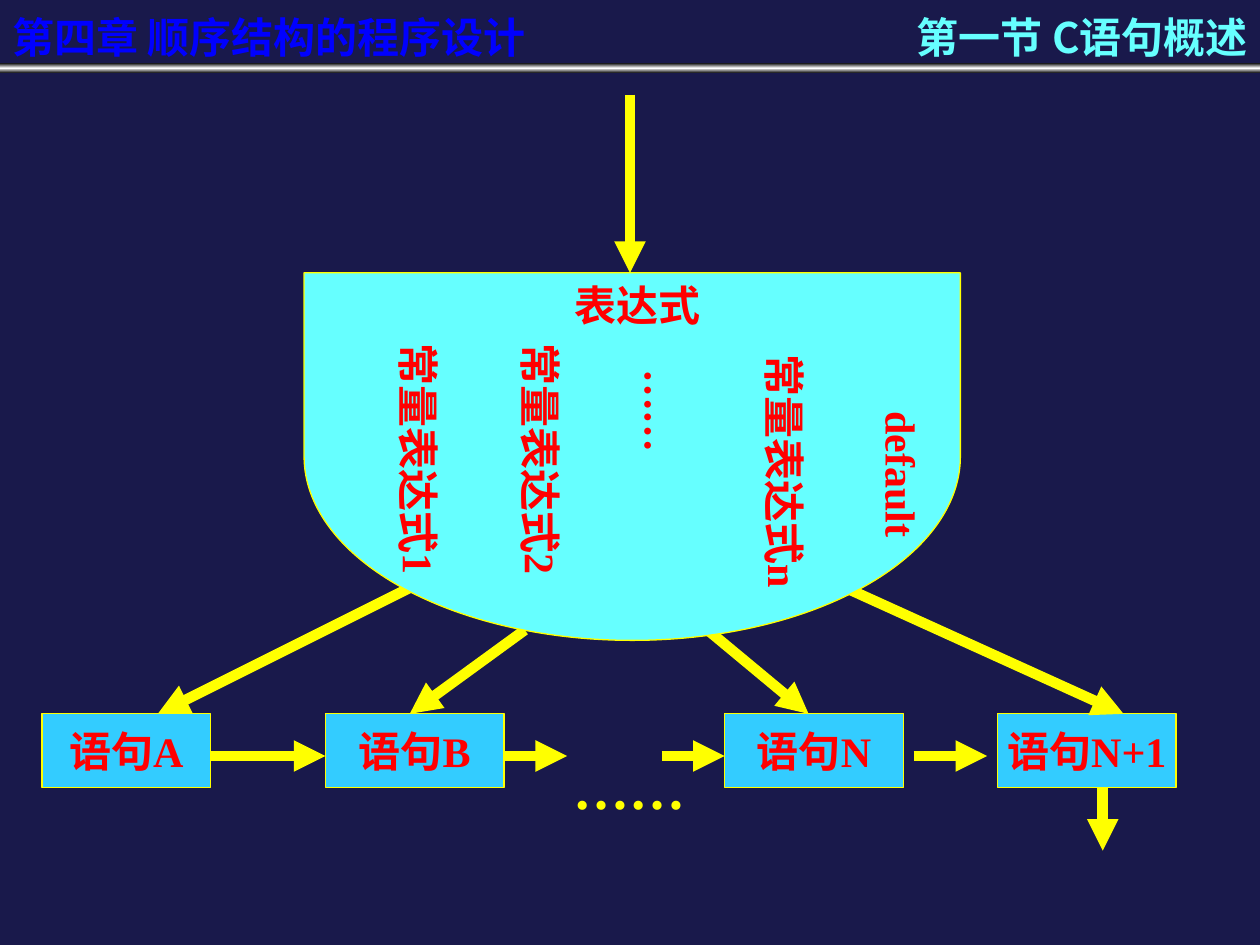
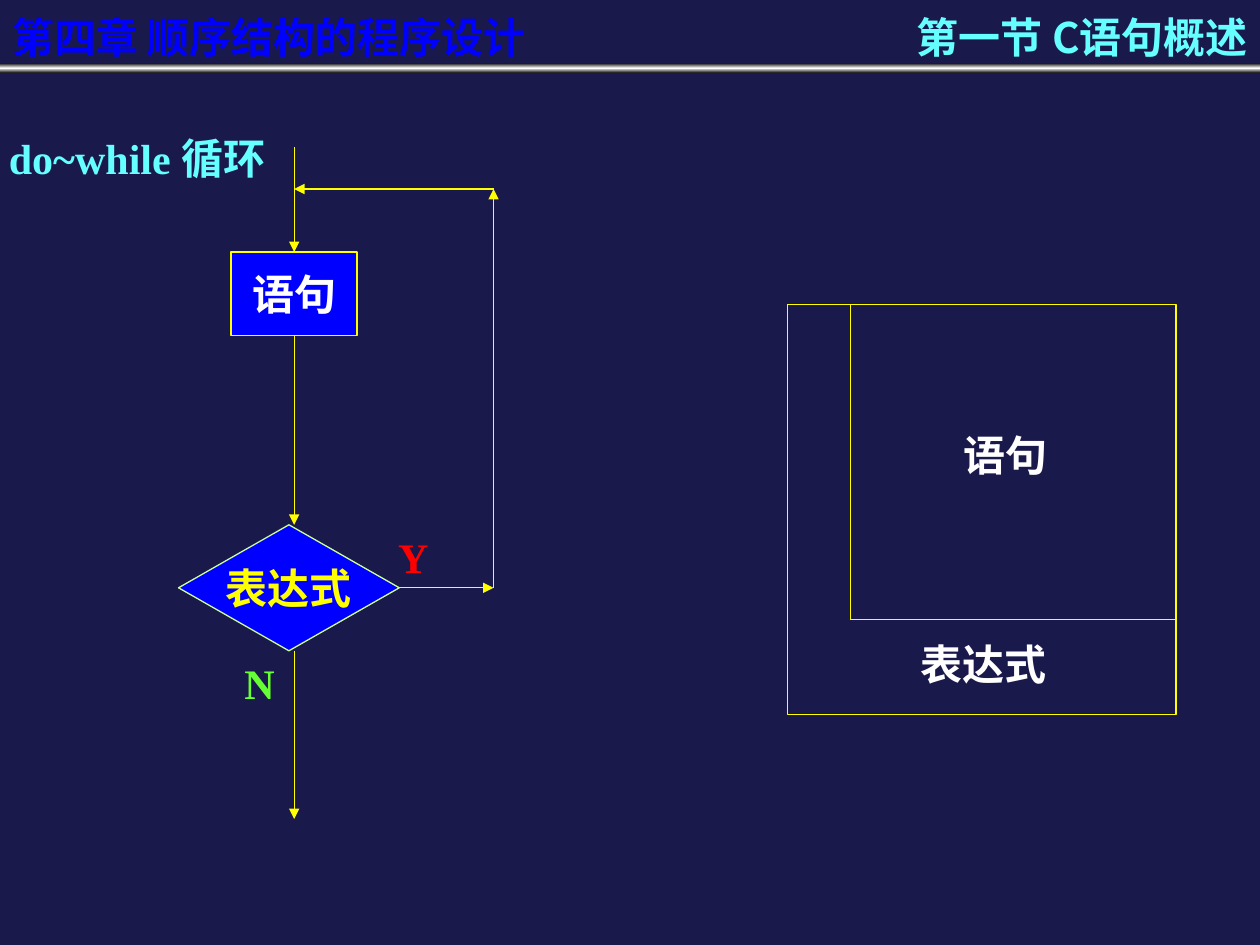
from lxml.etree import SubElement
from pptx import Presentation
from pptx.dml.color import RGBColor
from pptx.enum.shapes import MSO_CONNECTOR, MSO_SHAPE
from pptx.enum.text import MSO_ANCHOR, MSO_AUTO_SIZE, PP_ALIGN
from pptx.oxml import parse_xml
from pptx.oxml.ns import nsdecls, qn
from pptx.util import Cm, Pt

NAVY = RGBColor(0x19, 0x19, 0x4B)
BLUE = RGBColor(0x00, 0x00, 0xFF)
SKY = RGBColor(0x33, 0xCC, 0xFF)
CYAN = RGBColor(0x66, 0xFF, 0xFF)
YELLOW = RGBColor(0xFF, 0xFF, 0x00)
LIME = RGBColor(0xCC, 0xFF, 0x99)
GREEN = RGBColor(0x66, 0xFF, 0x33)
RED = RGBColor(0xFF, 0x00, 0x00)
WHITE = RGBColor(0xFF, 0xFF, 0xFF)

CJK_FONT = "Noto Sans CJK SC"
LATIN_FONT = "Times New Roman"
THICK, THIN = 6, 0.75


def write_text(sp, text, color, align=PP_ALIGN.CENTER, font=LATIN_FONT,
               size=24, wrap=True, shadow=False):
    tf = sp.text_frame
    tf.auto_size = MSO_AUTO_SIZE.NONE
    tf.word_wrap = wrap
    tf.vertical_anchor = MSO_ANCHOR.MIDDLE
    tf.margin_left = tf.margin_right = tf.margin_top = tf.margin_bottom = 0
    p = tf.paragraphs[0]
    p.alignment = align
    r = p.add_run()
    r.text = text
    r.font.size = Pt(size)
    r.font.bold = True
    r.font.color.rgb = color
    r.font.name = font
    rPr = r.font._element
    if shadow:
        rPr.find(qn("a:solidFill")).addnext(parse_xml(
            f'<a:effectLst {nsdecls("a")}><a:outerShdw dist="35921" dir="2700000">'
            '<a:srgbClr val="000000"/></a:outerShdw></a:effectLst>'))
    ea = SubElement(rPr, qn("a:ea"))
    ea.set("typeface", CJK_FONT)


def add_label(s, text, x, y, w, h, color, rotation=0, **style):
    sp = s.shapes.add_textbox(Cm(x), Cm(y), Cm(w), Cm(h))
    sp.rotation = rotation
    write_text(sp, text, color, **style)


def add_box(s, kind, x, y, w, h, fill=None, line=YELLOW):
    sp = s.shapes.add_shape(kind, Cm(x), Cm(y), Cm(w), Cm(h))
    sp.shadow.inherit = False
    if fill is None:
        sp.fill.background()
    else:
        sp.fill.solid()
        sp.fill.fore_color.rgb = fill
    if line is None:
        sp.line.fill.background()
    else:
        sp.line.color.rgb = line
        sp.line.width = Pt(THIN)
    return sp


def add_line(s, x1, y1, x2, y2, width=THIN, arrow=True):
    c = s.shapes.add_connector(MSO_CONNECTOR.STRAIGHT, Cm(x1), Cm(y1), Cm(x2), Cm(y2))
    c.line.color.rgb = YELLOW
    c.line.width = Pt(width)
    if arrow:
        SubElement(c.line._get_or_add_ln(), qn("a:tailEnd")).set("type", "triangle")
    SubElement(c._element.spPr, qn("a:effectLst"))


def add_header_band(s):
    sp = add_box(s, MSO_SHAPE.RECTANGLE, 0, 1.27, 25.4, 0.21, line=None)
    sp.fill.gradient()
    sp.fill.gradient_angle = 90
    stops = sp._element.spPr.find(qn("a:gradFill")).find(qn("a:gsLst"))
    for stop in list(stops):
        stops.remove(stop)
    for pos, color in ((0, "000000"), (50000, "FFFFFF"), (100000, "000000")):
        stop = SubElement(stops, qn("a:gs"), pos=str(pos))
        SubElement(stop, qn("a:srgbClr"), val=color)


def add_slide(prs):
    s = prs.slides.add_slide(prs.slide_layouts[5])
    add_header_band(s)
    add_label(s, "第四章 顺序结构的程序设计", 0.25, 0, 12.25, 1.48, BLUE,
              align=PP_ALIGN.LEFT, font=CJK_FONT, shadow=True)
    title = s.shapes.title
    title.left, title.top, title.width, title.height = Cm(15.44), Cm(0), Cm(9.71), Cm(1.48)
    write_text(title, "第一节 C语句概述", CYAN, align=PP_ALIGN.RIGHT, font=CJK_FONT)
    return s


def build_switch_slide(prs):
    s = add_slide(prs)
    row_top, row_mid, row_bottom = 14.39, 15.24, 15.88
    for text, x, w in (("语句A", 0.85, 3.39), ("语句B", 6.56, 3.6),
                       ("语句N", 14.61, 3.6), ("语句N+1", 20.11, 3.6)):
        sp = add_box(s, MSO_SHAPE.RECTANGLE, x, row_top, w, 1.48, SKY)
        write_text(sp, text, RED, wrap=False)

    for x1, y1, x2 in ((15.66, 11.22, 22.65), (13.76, 12.28, 16.3),
                       (10.58, 12.7, 8.26), (8.26, 11.85, 3.18)):
        add_line(s, x1, y1, x2, row_top, THICK)
    for x1, x2 in ((4.23, 6.56), (10.16, 11.43), (13.34, 14.61), (18.42, 19.9)):
        add_line(s, x1, row_mid, x2, row_mid, THICK)
    add_line(s, 12.7, 1.91, 12.7, 5.5, THICK)
    add_line(s, 22.23, row_bottom, 22.23, 17.15, THICK)
    add_label(s, "……", 11.3, 15.24, 2.77, 1.27, YELLOW, size=32)

    selector = add_box(s, MSO_SHAPE.FLOWCHART_DELAY, 9.04, 2.59, 7.41, 13.23, CYAN)
    selector.rotation = 90
    add_label(s, "表达式", 11.33, 5.5, 3.05, 1.27, RED, shadow=True)
    length, depth = 5.6, 1.3
    for text, center, top in (("常量表达式1", 8.46, 6.93), ("常量表达式2", 10.92, 6.93),
                              ("……", 13.34, 7.44), ("常量表达式n", 15.82, 7.14),
                              ("default", 18.19, 8.29)):
        add_label(s, text, center - length / 2, top + (length - depth) / 2,
                  length, depth, RED, rotation=90, align=PP_ALIGN.LEFT)


def build_do_while_slide(prs):
    s = add_slide(prs)
    add_label(s, "do~while 循环", 0.18, 2.54, 5.6, 1.27, CYAN, align=PP_ALIGN.LEFT)

    condition = add_box(s, MSO_SHAPE.FLOWCHART_DECISION, 3.6, 10.58, 4.45, 2.54, BLUE, LIME)
    write_text(condition, "表达式", YELLOW, wrap=False)
    body = add_box(s, MSO_SHAPE.FLOWCHART_PROCESS, 4.66, 5.08, 2.54, 1.69, BLUE)
    write_text(body, "语句", WHITE, wrap=False)

    flow_x, loop_x, loop_top, loop_bottom = 5.93, 9.95, 3.81, 11.85
    for y1, y2 in ((2.97, 5.08), (6.77, 10.58), (13.12, 16.51)):
        add_line(s, flow_x, y1, flow_x, y2)
    add_line(s, 8.05, loop_bottom, loop_x, loop_bottom)
    add_line(s, loop_x, loop_bottom, loop_x, loop_top)
    add_line(s, loop_x, loop_top, flow_x, loop_top)
    add_label(s, "N", 4.67, 13.12, 1.12, 1.27, GREEN)
    add_label(s, "Y", 7.77, 10.58, 1.12, 1.27, RED)

    left, top, width, height = 15.88, 6.14, 7.83, 8.26
    inner_left, inner_bottom = 17.15, 12.49
    add_box(s, MSO_SHAPE.RECTANGLE, left, top, width, height)
    add_line(s, inner_left, top, inner_left, inner_bottom, arrow=False)
    add_line(s, inner_left, inner_bottom, left + width, inner_bottom, arrow=False)
    add_label(s, "语句", 19.18, 8.53, 2.18, 1.27, WHITE)
    add_label(s, "表达式", 18.2, 12.75, 3.27, 1.27, WHITE)


def main():
    prs = Presentation()
    prs.slide_width, prs.slide_height = Cm(25.4), Cm(19.05)
    background = prs.slide_master.background.fill
    background.solid()
    background.fore_color.rgb = NAVY
    build_switch_slide(prs)
    build_do_while_slide(prs)
    prs.save("out.pptx")


if __name__ == "__main__":
    main()
